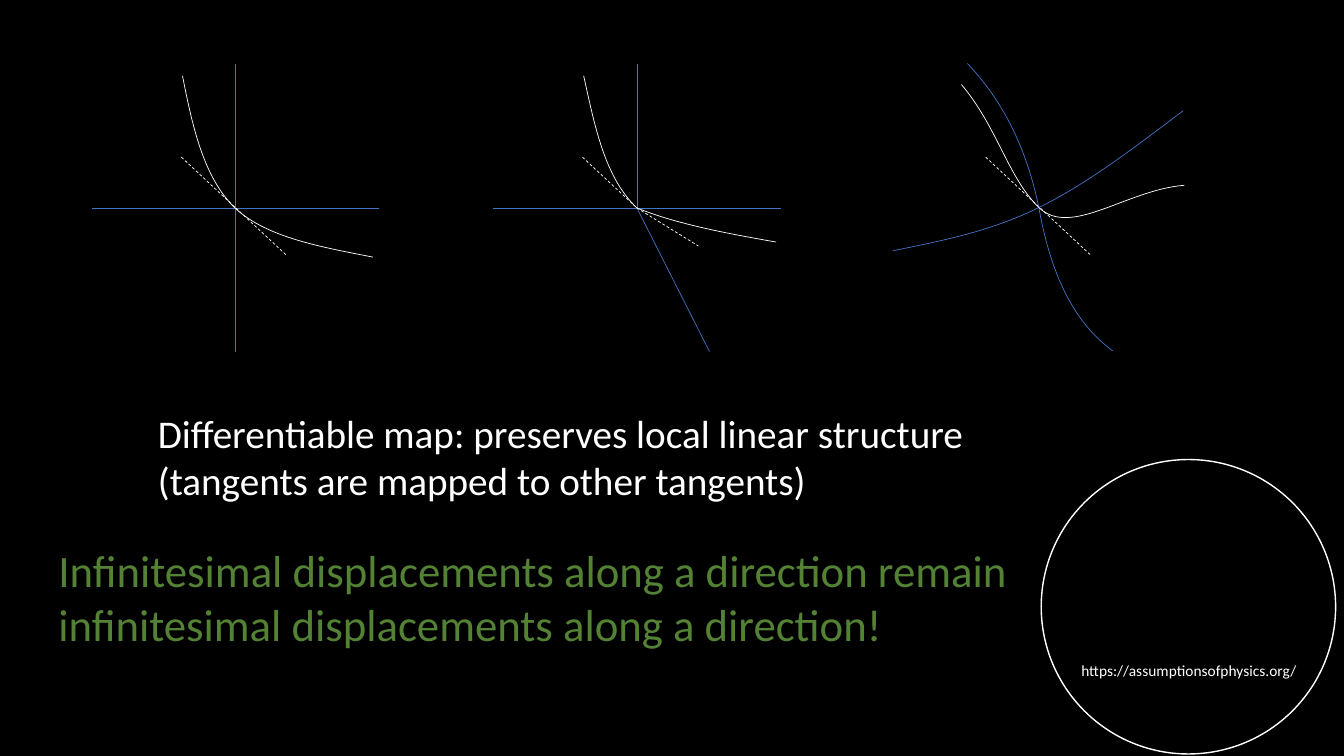
from lxml import etree
from pptx import Presentation
from pptx import util as u
from pptx.dml import color as col
from pptx.enum import dml, shapes, text
from pptx.oxml import ns

COLOURS = {"background": "000000", "ink": "FFFFFF", "axis": "4472C4", "claim": "548235"}


def write(page, words, left, top, width, height, size, colour, wrap=True):
    box = page.shapes.add_textbox(u.Cm(left), u.Cm(top), u.Cm(width), u.Cm(height))
    box.text_frame.word_wrap = wrap
    box.text_frame.auto_size = text.MSO_AUTO_SIZE.SHAPE_TO_FIT_TEXT
    para = box.text_frame.paragraphs[0]
    para.text = words
    for span in para.runs:
        span.font.name = "Calibri"
        span.font.size = u.Pt(size)
        span.font.color.rgb = col.RGBColor.from_string(COLOURS[colour])


def stroke(line, colour, width=0.5):
    line.color.rgb = col.RGBColor.from_string(COLOURS[colour])
    line.width = u.Pt(width)


deck = Presentation()
deck.slide_width, deck.slide_height = u.Cm(33.87), u.Cm(19.05)
page = deck.slides.add_slide(deck.slide_layouts[6])
page.background.fill.solid()
page.background.fill.fore_color.rgb = col.RGBColor.from_string(COLOURS["background"])

circle = page.shapes.add_shape(
    shapes.MSO_SHAPE.OVAL, u.Cm(26.24), u.Cm(11.58), u.Cm(7.42), u.Cm(7.42))
circle.shadow.inherit = False
circle.fill.background()
stroke(circle.line, "ink", 1)
write(page, "https://assumptionsofphysics.org/", 27, 16.54, 5.97, 0.74, 11, "ink", wrap=False)

left_x, middle_x, origin_y, reach = 5.94, 16.05, 5.24, 3.62
top_y, bottom_y = origin_y - reach, origin_y + reach
tangent_top, tangent_bottom = 3.96, 6.45

straight_lines = [
    (left_x + reach, origin_y, left_x - reach, origin_y, "axis", False),
    (left_x, bottom_y, left_x, top_y, "axis", False),
    (middle_x + reach, origin_y, middle_x - reach, origin_y, "axis", False),
    (middle_x, origin_y, middle_x, top_y, "axis", False),
    (middle_x, origin_y, 17.88, bottom_y, "axis", False),
    (4.57, tangent_top, 7.24, tangent_bottom, "ink", True),
    (14.68, tangent_top, middle_x, origin_y, "ink", True),
    (middle_x, origin_y, 17.6, 6.2, "ink", True),
    (24.84, tangent_top, 27.51, tangent_bottom, "ink", True),
]
for x1, y1, x2, y2, colour, dashed in straight_lines:
    connector = page.shapes.add_connector(
        shapes.MSO_CONNECTOR.STRAIGHT, u.Cm(x1), u.Cm(y1), u.Cm(x2), u.Cm(y2))
    stroke(connector.line, colour)
    if dashed:
        connector.line.dash_style = dml.MSO_LINE.DASH
    etree.SubElement(connector._element.spPr, ns.qn("a:effectLst"))

curves = [
    ("axis", [(24.38, 1.6), (25.27, 2.54), (25.88, 3.73), (26.19, 5.28),
              (26.47, 6.81), (27, 8.08), (28.04, 8.84)]),
    ("axis", [(29.82, 2.79), (28.6, 3.71), (27.38, 4.65), (26.16, 5.24),
              (24.94, 5.84), (23.72, 6.07), (22.5, 6.32)]),
    ("ink", [(4.6, 1.91), (4.85, 3.18), (5.13, 4.47), (5.92, 5.24),
             (6.73, 5.99), (8.08, 6.22), (9.4, 6.48)]),
    ("ink", [(14.71, 1.91), (14.99, 3.18), (15.24, 4.47), (16.05, 5.24),
             (17.04, 5.64), (18.24, 5.87), (19.56, 6.1)]),
    ("ink", [(24.23, 2.13), (25.15, 3.23), (25.4, 4.47), (26.19, 5.24),
             (27, 5.99), (28.4, 4.78), (29.85, 4.67)]),
]
for colour, points in curves:
    start, *controls = [(u.Cm(x), u.Cm(y)) for x, y in points]
    builder = page.shapes.build_freeform(*start)
    builder.add_line_segments(controls, close=False)
    curve = builder.convert_to_shape()
    curve.shadow.inherit = False
    curve.fill.background()
    stroke(curve.line, colour)
    segments = list(curve._element.iter(ns.qn("a:lnTo")))
    outline = segments[0].getparent()
    for first in range(0, len(segments), 3):
        bezier = etree.SubElement(outline, ns.qn("a:cubicBezTo"))
        for segment in segments[first:first + 3]:
            bezier.append(segment[0])
            outline.remove(segment)

write(page, "Differentiable map: preserves local linear structure\v"
      "(tangents are mapped to other tangents)", 3.73, 10.19, 22.48, 2.64, 28, "ink")
write(page, "Infinitesimal displacements along a direction remain "
      "infinitesimal displacements along a direction!", 1.22, 13.56, 27.48, 3, 32, "claim")

deck.save("out.pptx")
